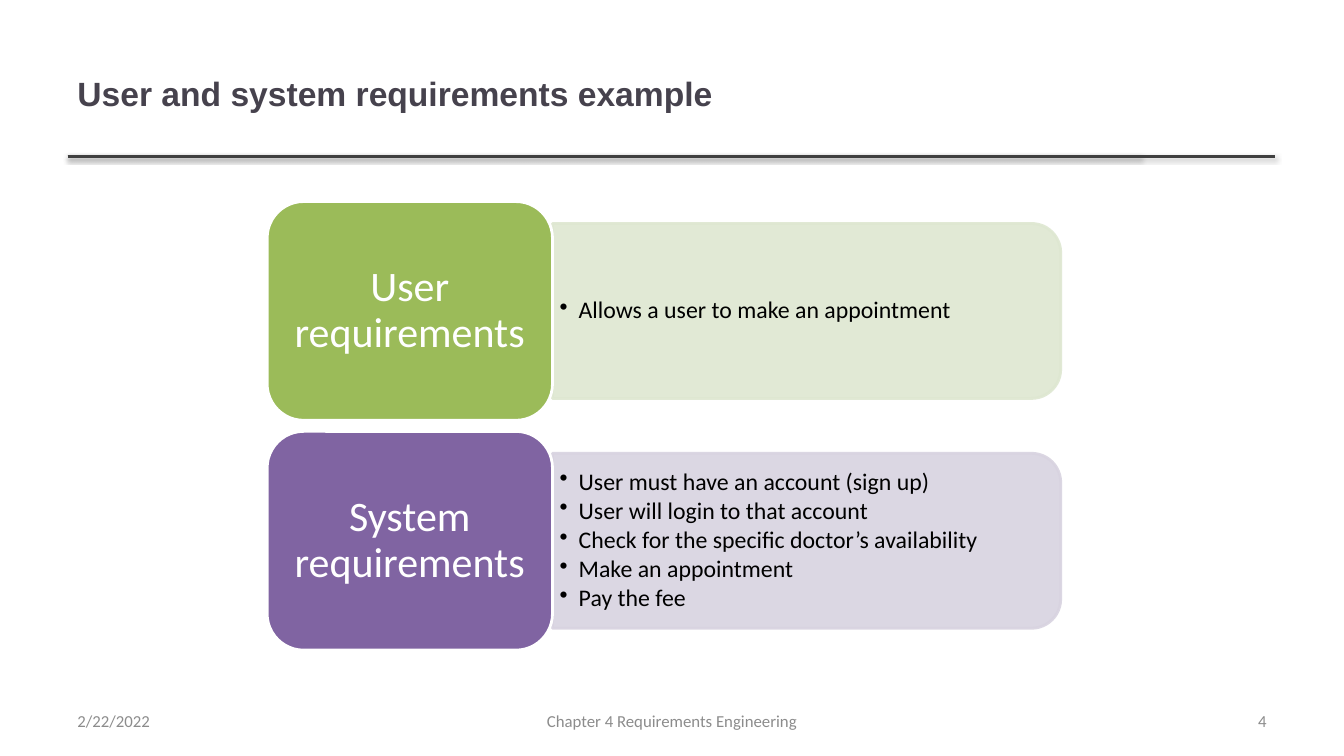
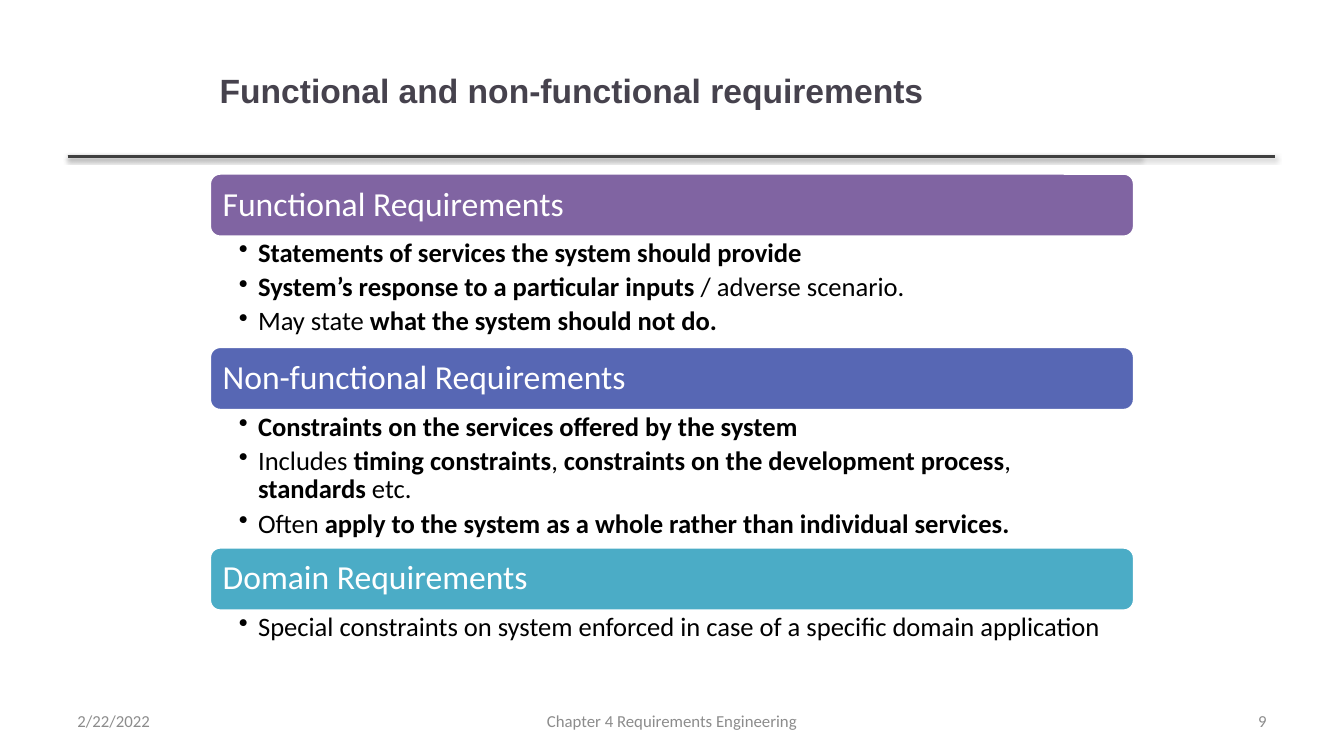
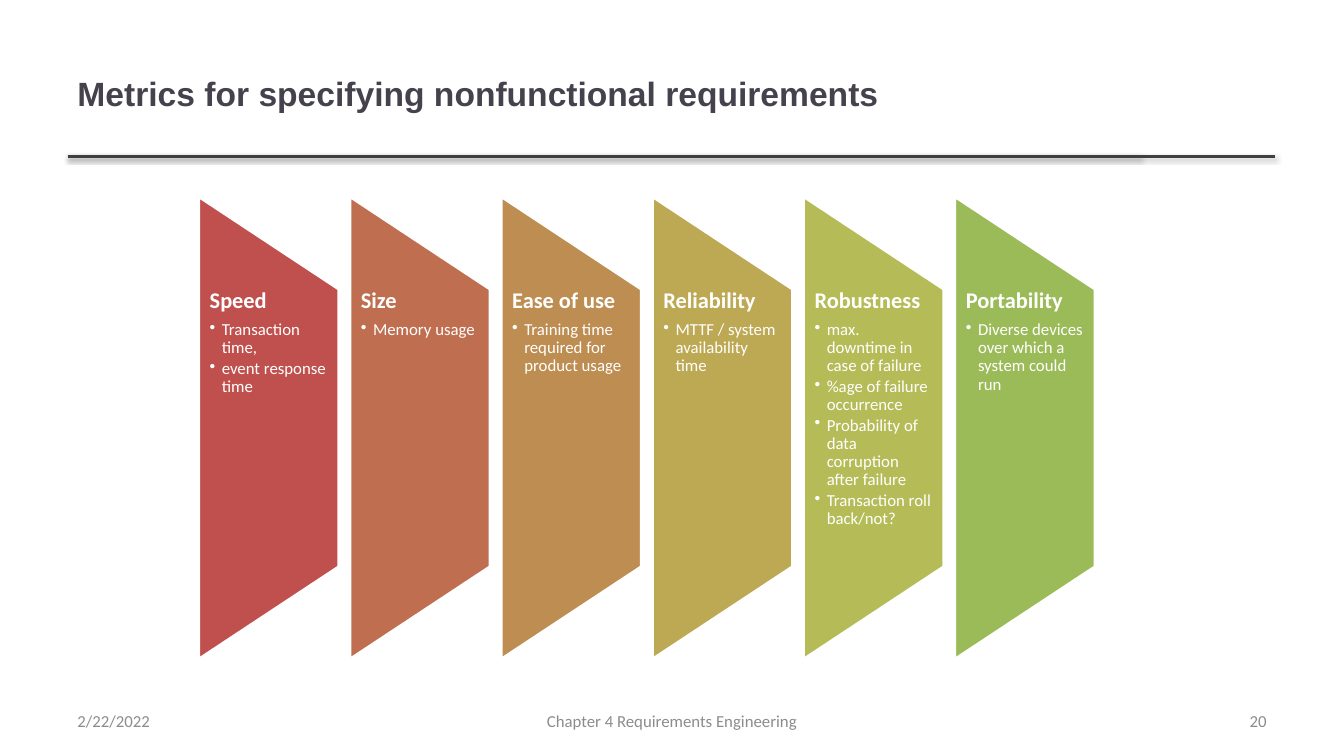
from lxml.etree import SubElement
from pptx import Presentation
from pptx.dml.color import RGBColor
from pptx.enum.shapes import MSO_CONNECTOR, MSO_SHAPE
from pptx.enum.text import MSO_ANCHOR, PP_ALIGN
from pptx.oxml.ns import qn
from pptx.util import Inches, Pt

WIDTH, HEIGHT = 13.33, 7.5
MARGIN = 0.67
COLORS = {
    "title": "46424D", "rule": "404040", "footer": "8C8C8C",
    "black": "000000", "white": "FFFFFF",
    "green": "9BBB59", "pale_green": "DEE7D1",
    "purple": "8064A2", "pale_purple": "D8D3E0",
    "indigo": "5767B4", "teal": "4BACC6",
    "red": "C0504D", "rust": "BF6F4F", "tan": "BE8D52",
    "gold": "BDA954", "lime": "B5BC57",
}

FOOTER_DATE = "2/22/2022"
FOOTER_TEXT = "Chapter 4 Requirements Engineering"
RULE_ENDS = (11.32, 12.65)
TITLE_BOX = (MARGIN, 0.3, 10.63, 1.25)

EXAMPLE = [
    ("User requirements", "green", "pale_green",
     ["Allows a user to make an appointment"]),
    ("System requirements", "purple", "pale_purple",
     ["User must have an account (sign up)",
      "User will login to that account",
      "Check for the specific doctor’s availability",
      "Make an appointment",
      "Pay the fee"]),
]

# Text between double asterisks is bold; the number is the height of the list.
KINDS = [
    ("Functional Requirements", "purple", 1.09,
     ["**Statements of services the system should provide**",
      "**System’s response to a particular inputs **/ adverse scenario.",
      "May state **what the system should not do.**"]),
    ("Non-functional Requirements", "indigo", 1.36,
     ["**Constraints on the services offered by the system**",
      "Includes **timing constraints**, **constraints on the development process**, "
      "**standards** etc.",
      "Often **apply to the system as a whole rather than individual services.**"]),
    ("Domain Requirements", "teal", 0.43,
     ["Special constraints on system enforced in case of a specific domain application"]),
]

METRICS = [
    ("Speed", "red", ["Transaction time,", "event response time"]),
    ("Size", "rust", ["Memory usage"]),
    ("Ease of use", "tan", ["Training time required for product usage"]),
    ("Reliability", "gold", ["MTTF / system availability time"]),
    ("Robustness", "lime",
     ["max. downtime in case of failure", "%age of failure occurrence",
      "Probability of data corruption after failure", "Transaction roll back/not?"]),
    ("Portability", "green", ["Diverse devices over which a system could run"]),
]


def rgb(name):
    return RGBColor.from_string(COLORS[name])


def inches(lengths):
    return [Inches(length) for length in lengths]


def prepare_frame(shape, insets=(0.1, 0.05, 0.1, 0.05), anchor=MSO_ANCHOR.MIDDLE):
    frame = shape.text_frame
    frame.word_wrap = True
    frame.vertical_anchor = anchor
    (frame.margin_left, frame.margin_top,
     frame.margin_right, frame.margin_bottom) = inches(insets)
    return frame


def add_box(slide, box, **options):
    return prepare_frame(slide.shapes.add_textbox(*inches(box)), **options)


def write(frame, text, size, color, font="Calibri", bold=False,
          align=PP_ALIGN.LEFT, after=0, spacing=1, indent=0):
    """Add a paragraph; after is a share of the size, an indent brings a bullet."""
    first = frame.paragraphs[0]
    para = frame.add_paragraph() if first.runs else first
    para.alignment = align
    if indent:
        properties = para._p.get_or_add_pPr()
        properties.set("marL", str(Inches(indent)))
        properties.set("indent", str(-Inches(indent)))
        SubElement(properties, qn("a:buChar")).set("char", "•")
    para.line_spacing = spacing
    para.space_after = Pt(round(size * after, 1))
    for index, part in enumerate(text.split("**")):
        if part:
            span = para.add_run()
            span.text = part
            span.font.name = font
            span.font.size = Pt(size)
            span.font.bold = bold or index % 2 == 1
            span.font.color.rgb = rgb(color)


def write_bullets(frame, items, size, color, indent, after):
    for item in items:
        write(frame, item, size, color, indent=indent, after=after, spacing=0.9)


def add_panel(slide, kind, box, fill, line="white", rotation=0, opacity=None):
    """Draw a preset that covers box as seen, also after a quarter turn."""
    left, top, width, height = box
    if rotation:
        shift = (width - height) / 2
        left, top, width, height = left + shift, top - shift, height, width
    panel = slide.shapes.add_shape(kind, *inches((left, top, width, height)))
    panel.rotation = rotation
    panel.shadow.inherit = False
    panel.fill.solid()
    panel.fill.fore_color.rgb = rgb(fill)
    panel.line.color.rgb = rgb(line)
    panel.line.width = Pt(2)
    if opacity:
        for color in panel._element.spPr.iter(qn("a:srgbClr")):
            SubElement(color, qn("a:alpha")).set("val", str(opacity * 1000))
    return panel


def add_rule(slide, end, top=1.55):
    rule = slide.shapes.add_connector(
        MSO_CONNECTOR.STRAIGHT, *inches((MARGIN, top, end, top)))
    rule.line.color.rgb = rgb("rule")
    rule.line.width = Pt(2)
    effects = SubElement(rule._element.spPr, qn("a:effectLst"))
    shadow = SubElement(effects, qn("a:outerShdw"), blurRad=str(Pt(3.1)),
                        dist=str(Pt(1.6)), dir="5400000", rotWithShape="0")
    color = SubElement(shadow, qn("a:srgbClr"), val=COLORS["black"])
    SubElement(color, qn("a:alpha"), val="38000")


def start_slide(deck, title, number, title_box=TITLE_BOX):
    slide = deck.slides.add_slide(deck.slide_layouts[6])
    for end in RULE_ENDS:
        add_rule(slide, end)
    write(add_box(slide, title_box), title, 24, "title", font="Arial", bold=True)
    side, middle = 3.11, 4.22
    footers = [
        (FOOTER_DATE, MARGIN, side, PP_ALIGN.LEFT),
        (FOOTER_TEXT, (WIDTH - middle) / 2, middle, PP_ALIGN.CENTER),
        (str(number), WIDTH - MARGIN - side, side, PP_ALIGN.RIGHT),
    ]
    for text, left, width, align in footers:
        write(add_box(slide, (left, 6.95, width, 0.4)), text, 12, "footer", align=align)
    return slide


def build_example(deck):
    slide = start_slide(deck, "User and system requirements example", 4)
    left, top, width, height, pitch = 2.65, 2, 2.83, 2.17, 2.28
    list_left, list_width, list_height = left + width, 5.04, height * 0.8
    for row, (name, color, pale, items) in enumerate(EXAMPLE):
        row_top = top + row * pitch
        list_top = row_top + (height - list_height) / 2
        add_panel(slide, MSO_SHAPE.ROUND_2_SAME_RECTANGLE,
                  (list_left, list_top, list_width, list_height),
                  pale, line=pale, rotation=90, opacity=90)
        frame = add_box(slide, (list_left, list_top + 0.08, 4.96, list_height - 0.16),
                        insets=(0.07, 0.04, 0.07, 0.04))
        write_bullets(frame, items, 17, "black", 0.19, 0.15)
        card = add_panel(slide, MSO_SHAPE.ROUNDED_RECTANGLE,
                         (left, row_top, width, height), color)
        write(prepare_frame(card, (0.12, 0.06, 0.12, 0.06)), name, 30, "white",
              align=PP_ALIGN.CENTER, after=0.35, spacing=0.9)


def build_kinds(deck):
    left, top, width, band_height = 2.08, 1.72, 9.17, 0.63
    slide = start_slide(deck, "Functional and non-functional requirements", 9,
                        title_box=(left, 0.29, width, 1.21))
    for name, color, list_height, items in KINDS:
        band = add_panel(slide, MSO_SHAPE.ROUNDED_RECTANGLE,
                         (left, top, width, band_height), color)
        write(prepare_frame(band, (0.1, 0.1, 0.1, 0.1)), name, 24, "white",
              after=0.35, spacing=0.9)
        top += band_height
        frame = add_box(slide, (left, top, width, list_height),
                        insets=(0.29, 0.03, 0.19, 0.03), anchor=MSO_ANCHOR.TOP)
        write_bullets(frame, items, 19, "black", 0.19, 0.2)
        top += list_height


def build_metrics(deck):
    slide = start_slide(deck, "Metrics for specifying nonfunctional requirements", 20)
    left, top, width, height, pitch = 1.97, 1.95, 1.39, 4.59, 1.5
    for column, (name, color, items) in enumerate(METRICS):
        column_left = left + column * pitch
        add_panel(slide, MSO_SHAPE.FLOWCHART_MANUAL_OPERATION,
                  (column_left, top, width, height), color, rotation=270)
        frame = add_box(slide, (column_left, top + height / 5, width, height * 3 / 5),
                        insets=(0.11, 0, 0.11, 0), anchor=MSO_ANCHOR.TOP)
        write(frame, name, 16, "white", bold=True, after=0.35, spacing=0.9)
        write_bullets(frame, items, 12, "white", 0.12, 0.15)


def main():
    deck = Presentation()
    deck.slide_width, deck.slide_height = inches((WIDTH, HEIGHT))
    build_example(deck)
    build_kinds(deck)
    build_metrics(deck)
    deck.save("out.pptx")


if __name__ == "__main__":
    main()
